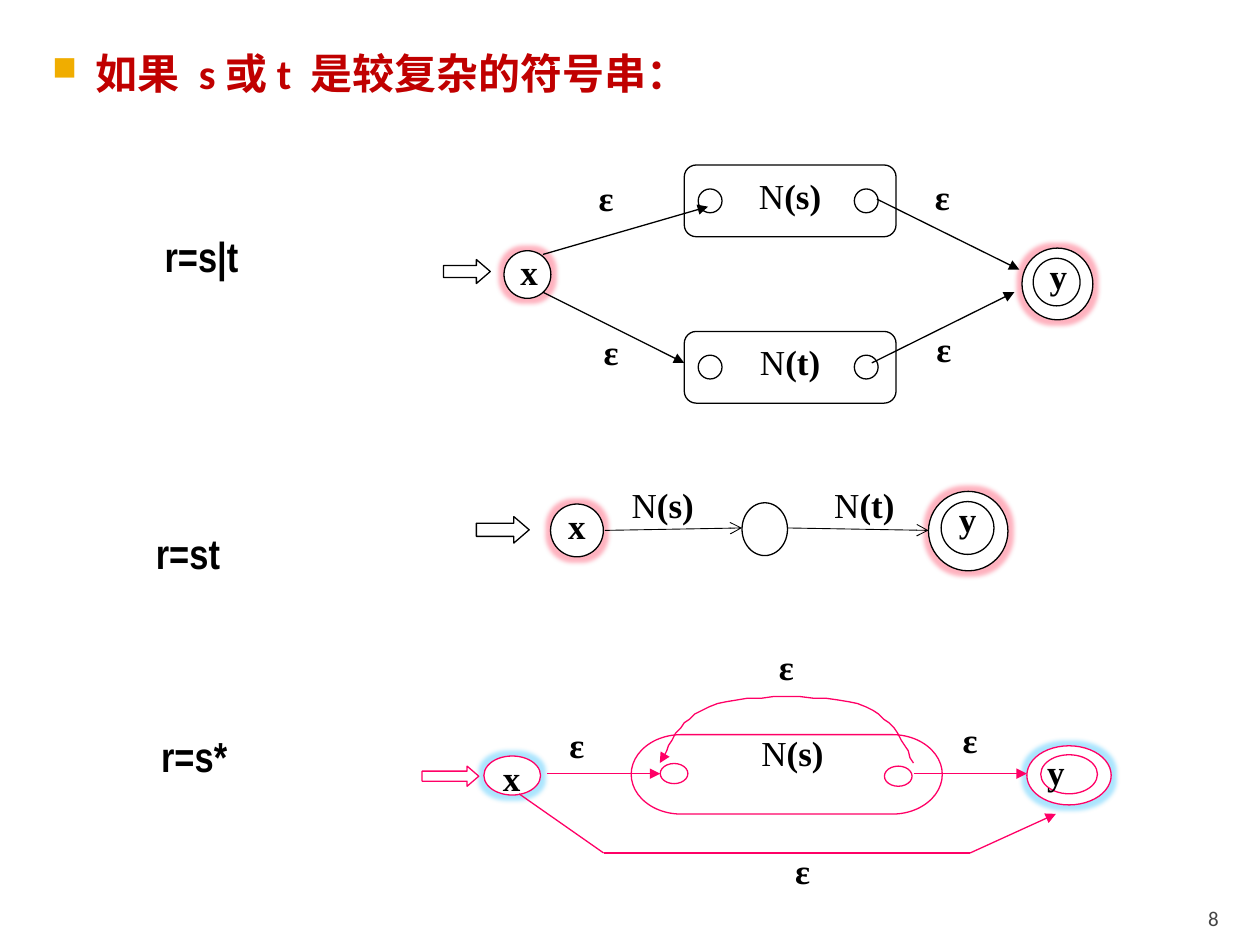
import pptx
import pptx.util
import pptx.dml.color
import pptx.enum.shapes
import pptx.enum.text
import pptx.oxml
import pptx.oxml.ns

Pt = pptx.util.Pt
SHAPE = pptx.enum.shapes.MSO_SHAPE
ALIGN = pptx.enum.text.PP_ALIGN
ANCHOR = pptx.enum.text.MSO_ANCHOR
NS = pptx.oxml.ns.nsdecls("a")

THEME = {
    "black": "000000", "white": "FFFFFF", "pink": "FF0066", "title": "C00000",
    "bullet": "F0AD00", "page": "454545",
    "red_glow": "FF4060", "blue_glow": "30C0FF",
    "math": {"name": "Times New Roman", "size": Pt(20)},
    "rule": {"name": "Arial Narrow", "size": Pt(24), "bold": True},
    "heading": {"name": "Calibri", "size": Pt(24), "bold": True},
    "number": {"name": "Calibri", "size": Pt(12)},
}

TITLE = "如果  s 或 t  是较复杂的符号串："
RULES = [("r=s|t", 87, 128), ("r=st", 82, 298), ("r=s*", 85, 414)]
PAGE = "8"

# Boxes are (left, top, width, height); a label is (text, left, top).
# A state has its circles from outside in, then its name and the name's place.
UNION = {
    "color": "black", "glow": "red_glow", "width": 0.75, "head": "triangle",
    "frame": (SHAPE.FLOWCHART_ALTERNATE_PROCESS, [(391, 94.3, 121, 41), (391, 189.4, 121, 41)]),
    "ports": [(x, y, 13.6, 13.6) for y in (108, 203) for x in (399, 488.2)],
    "states": [([(288, 143.3, 26.8, 27.2)], ("x", 297.4, 143.3)),
               ([(584, 141.8, 40.5, 41), (590.4, 147.6, 26.8, 27.2)], ("y", 599.8, 145.4))],
    "start": (253.4, 148.3, 26.8, 13.7),
    "edges": [[(310.3, 145.4), (404.6, 118.1)], [(310.3, 167), (391, 207.4)],
              [(501.1, 113.8), (582.5, 154.1)], [(498.2, 207.4), (579.6, 167)]],
    "epsilons": [(342, 100.8), (344.9, 188.6), (534.2, 100.1), (535, 187.2)],
    "machines": [("s", (391, 96, 121, 38)), ("t", (391, 191, 121, 38))],
}
CONCAT = {
    "color": "black", "glow": "red_glow", "width": 0.5, "head": "arrow",
    "frame": (SHAPE.OVAL, [(424, 287.3, 26, 30.2)]),
    "ports": [],
    "states": [([(314.6, 288, 30.2, 30.2)], ("x", 324.7, 288)),
               ([(530.6, 280.8, 45.4, 45.4), (537.8, 286.6, 30.2, 30.2)], ("y", 547.9, 284.4))],
    "start": (272.2, 295.2, 30.2, 15.1),
    "edges": [[(345.6, 303.1), (424, 301.7)], [(450, 301.7), (530.6, 303.1)]],
    "epsilons": [],
    "machines": [("s", (348.5, 272.9, 60.5, 45.4)), ("t", (463.7, 272.9, 60.5, 45.4))],
}
STAR = {
    "color": "pink", "glow": "blue_glow", "width": 0.75, "head": "triangle",
    "frame": (SHAPE.FLOWCHART_TERMINATOR, [(360.7, 419.8, 177.8, 45.4)]),
    "ports": [(377.3, 436.3, 15.8, 11.5), (505.4, 437.8, 15.8, 11.5)],
    "states": [([(276.5, 432, 32.4, 22.3)], ("x", 287.3, 432)),
               ([(586.8, 426.2, 48.2, 33.8), (594.7, 431.3, 32.4, 22.3)], ("y", 598.3, 429.1))],
    "start": (241.2, 437.8, 32.4, 11.5),
    "edges": [[(312.5, 442.1), (377.3, 442.1)], [(522, 442.1), (586.8, 442.1)],
              [(296.6, 453.6), (344.9, 487.4), (554.4, 487.4), (603.4, 465.1)]],
    "epsilons": [(325.4, 413.3), (445, 368.6), (550.1, 410.4), (454.3, 485.3)],
    "machines": [("s", (420.5, 414.7, 64.8, 33.8))],
}
# Cubic Bezier control points; neighbouring pieces share an end point.
LOOP = [(522, 436.3), (515.5, 422.6), (509, 408.2), (490.3, 402.5),
        (470.9, 396.7), (428.4, 396.7), (409.7, 402.5),
        (390.2, 408.2), (383.8, 422.6), (377.3, 436.3)]


def rgb(name):
    return pptx.dml.color.RGBColor.from_string(THEME[name])


def pts(values):
    return [Pt(v) for v in values]


def style_line(line, color, width, head=None):
    line.color.rgb = rgb(color)
    line.width = Pt(width)
    if head:
        line._get_or_add_ln().append(
            pptx.oxml.parse_xml(f'<a:tailEnd {NS} type="{head}"/>'))


def add_text(s, runs, box, font, color="black", align=ALIGN.LEFT,
             insets=(7.2, 3.6, 7.2, 3.6), anchor=ANCHOR.TOP):
    """Add a text box; runs are (text, font overrides) pairs."""
    tf = s.shapes.add_textbox(*pts(box)).text_frame
    frame = dict(zip(("margin_left", "margin_top", "margin_right", "margin_bottom"), pts(insets)))
    for key, value in {**frame, "word_wrap": True, "vertical_anchor": anchor}.items():
        setattr(tf, key, value)
    p = tf.paragraphs[0]
    p.alignment = align
    for text, extra in runs:
        r = p.add_run()
        r.text = text
        for key, value in {**THEME[font], **extra}.items():
            setattr(r.font, key, value)
        r.font.color.rgb = rgb(color)
    return p


def add_symbol(s, text, left, top):
    add_text(s, [(text, {"bold": True})], (left, top, 40, 27), "math",
             align=ALIGN.JUSTIFY, insets=(0, 0, 0, 0))


def add_outline(s, kind, box, diagram, glow=False):
    sp = s.shapes.add_shape(kind, *pts(box))
    sp.shadow.inherit = False
    sp.fill.solid()
    sp.fill.fore_color.rgb = rgb("white")
    style_line(sp.line, diagram["color"], 0.75)
    if glow:
        effects = sp._element.spPr.find(pptx.oxml.ns.qn("a:effectLst"))
        effects.append(pptx.oxml.parse_xml(
            f'<a:glow {NS} rad="{Pt(5)}"><a:srgbClr val="{THEME[diagram["glow"]]}">'
            '<a:alpha val="40000"/></a:srgbClr></a:glow>'))
    return sp


def add_edge(s, points, diagram):
    """Join the points with straight lines and put the arrowhead on the last."""
    for i, (start, end) in enumerate(zip(points, points[1:]), 2):
        c = s.shapes.add_connector(pptx.enum.shapes.MSO_CONNECTOR.STRAIGHT, *pts(start + end))
        style_line(c.line, diagram["color"], diagram["width"],
                   diagram["head"] if i == len(points) else None)
        c._element.spPr.append(pptx.oxml.parse_xml(f"<a:effectLst {NS}/>"))


def bezier(controls, steps=12):
    """Yield points along the joined cubic pieces."""
    for i in range(0, len(controls) - 1, 3):
        piece = controls[i:i + 4]
        for t in (k / steps for k in range(1, steps + 1)):
            weights = ((1 - t) ** 3, 3 * t * (1 - t) ** 2, 3 * t * t * (1 - t), t ** 3)
            yield tuple(sum(w * c[axis] for w, c in zip(weights, piece)) for axis in (0, 1))


def add_loop(s, diagram):
    builder = s.shapes.build_freeform(*LOOP[0], scale=Pt(1))
    builder.add_line_segments(list(bezier(LOOP)), close=False)
    sp = builder.convert_to_shape()
    sp.shadow.inherit = False
    sp.fill.background()
    style_line(sp.line, diagram["color"], diagram["width"], diagram["head"])


def add_diagram(s, d):
    kind, frames = d["frame"]
    for box in frames:
        add_outline(s, kind, box, d)
    for box in d["ports"]:
        add_outline(s, SHAPE.OVAL, box, d)
    for circles, name in d["states"]:
        for i, box in enumerate(circles):
            add_outline(s, SHAPE.OVAL, box, d, glow=i == 0)
        add_symbol(s, *name)
    arrow = add_outline(s, SHAPE.RIGHT_ARROW, d["start"], d)
    arrow.adjustments[1] = 0.58
    for points in d["edges"]:
        add_edge(s, points, d)
    for place in d["epsilons"]:
        add_symbol(s, "ε", *place)
    for name, box in d["machines"]:
        add_text(s, [("N", {}), (f"({name})", {"bold": True})], box, "math", align=ALIGN.CENTER)


def add_title(s):
    p = add_text(s, [(TITLE, {})], (16, 20, 641, 45), "heading", "title",
                 insets=(4.3, 7.2, 7.2, 3.6))
    pPr = p._p.get_or_add_pPr()
    pPr.set("marL", str(Pt(34.5)))
    pPr.set("indent", str(Pt(-25)))
    for xml in (f'<a:buClr {NS}><a:srgbClr val="{THEME["bullet"]}"/></a:buClr>',
                f'<a:buSzPct {NS} val="80000"/>', f'<a:buChar {NS} char="■"/>'):
        pPr.append(pptx.oxml.parse_xml(xml))


def main():
    prs = pptx.Presentation()
    prs.slide_width, prs.slide_height = Pt(720), Pt(540)
    s = prs.slides.add_slide(prs.slide_layouts[6])
    add_title(s)
    for diagram in (UNION, CONCAT, STAR):
        add_diagram(s, diagram)
    add_loop(s, STAR)
    for text, left, top in RULES:
        add_text(s, [(text, {})], (left, top, 119, 36), "rule")
    add_text(s, [(PAGE, {})], (646, 510, 57.6, 21.6), "number", "page", ALIGN.RIGHT,
             (7.2, 3.6, 7.2, 0), ANCHOR.BOTTOM)
    prs.save("out.pptx")


if __name__ == "__main__":
    main()
